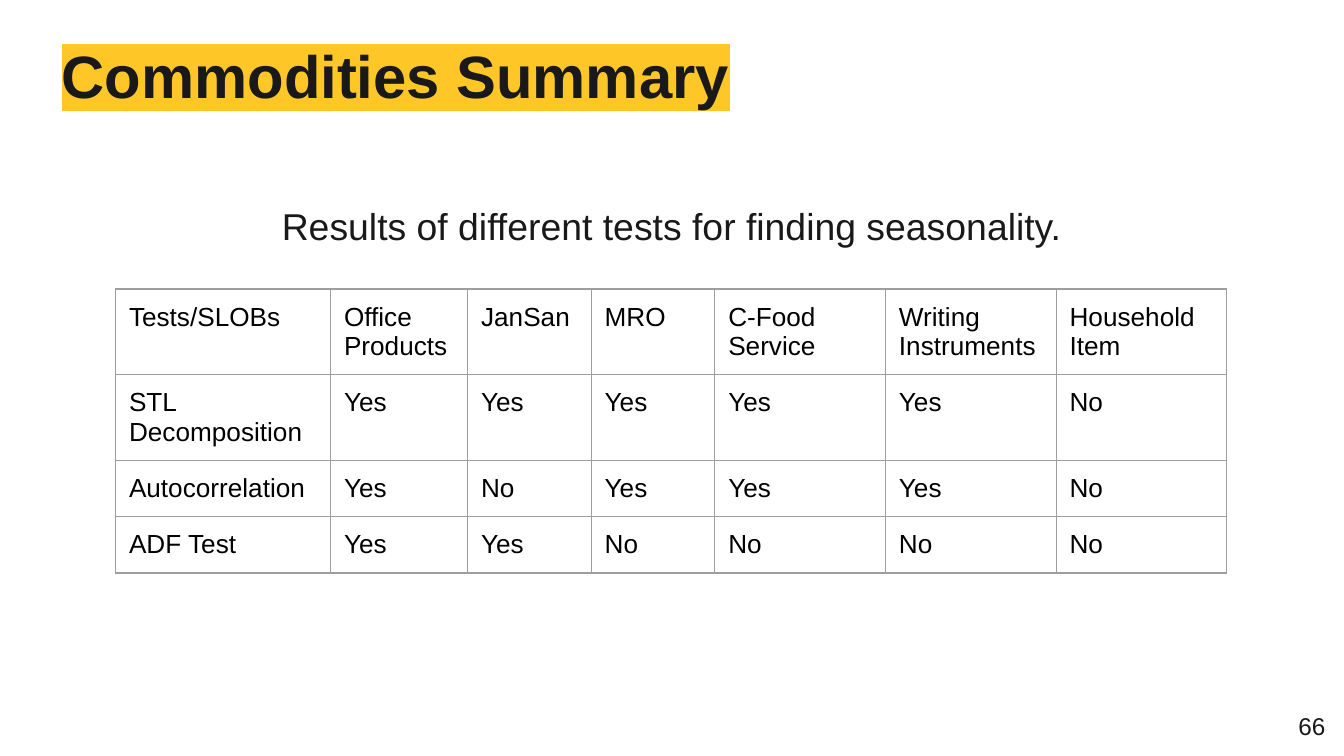
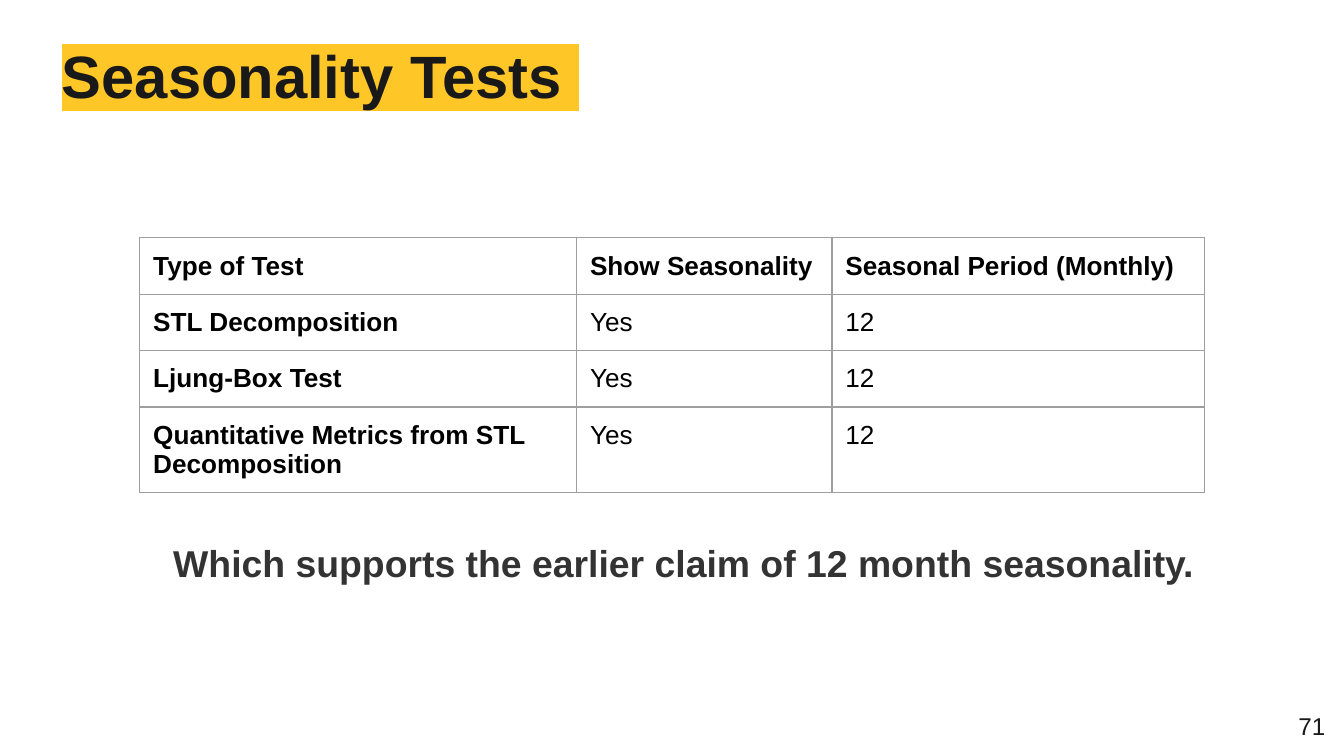
from lxml.etree import SubElement
from pptx import Presentation
from pptx.dml.color import RGBColor
from pptx.enum.text import MSO_ANCHOR, MSO_AUTO_SIZE, PP_ALIGN
from pptx.oxml.ns import qn
from pptx.util import Inches, Pt

INK = RGBColor(0x19, 0x19, 0x19)
GREY = RGBColor(0x33, 0x33, 0x33)
BLACK = RGBColor(0, 0, 0)
WHITE = RGBColor(0xFF, 0xFF, 0xFF)
GOLD = RGBColor(0xFF, 0xC6, 0x27)
RULE = RGBColor(0x9E, 0x9E, 0x9E)
FONT = "Arial"
WIDE = 10
HIGH = WIDE * 9 / 16
PAD = 0.1
ROW = 0.42

SLIDES = [
    dict(
        title="Commodities Summary",
        page="66",
        spot=(0.86, 2.15),
        cols=[1.6, 1.02, 0.92, 0.92, 1.27, 1.27, 1.27],
        rows=[
            ("Tests/SLOBs", "Office Products", "JanSan", "MRO",
             "C-Food Service", "Writing Instruments", "Household Item"),
            ("STL Decomposition", "Yes", "Yes", "Yes", "Yes", "Yes", "No"),
            ("Autocorrelation", "Yes", "No", "Yes", "Yes", "Yes", "No"),
            ("ADF Test", "Yes", "Yes", "No", "No", "No", "No"),
        ],
        heads=False,
        note="Results of different tests for finding seasonality.",
        box=(1.95, 1.41, 6.1, 0.43),
        style=dict(size=20, color=INK),
        align=PP_ALIGN.CENTER,
    ),
    dict(
        title="Seasonality Tests ",
        page="71",
        spot=(1.04, 1.77),
        cols=[3.25, 1.9, 2.77],
        rows=[
            ("Type of Test", "Show Seasonality", "Seasonal Period (Monthly)"),
            ("STL Decomposition", "Yes", "12"),
            ("Ljung-Box Test", "Yes", "12"),
            ("Quantitative Metrics from STL Decomposition", "Yes", "12"),
        ],
        heads=True,
        note="Which supports the earlier claim of 12 month seasonality.",
        box=(1.19, 3.92, 7.92, 0.33),
        style=dict(size=20, color=GREY, bold=True),
        align=PP_ALIGN.LEFT,
    ),
]


def tint(node, color):
    SubElement(node, qn("a:srgbClr")).set("val", str(color))


def inset(part, pad):
    part.margin_left = part.margin_right = Inches(pad)
    part.margin_top = part.margin_bottom = Inches(pad)


def write(frame, text, size, color, bold=False, align=PP_ALIGN.LEFT):
    line = frame.paragraphs[0]
    line.alignment = align
    run = line.add_run()
    run.text = text
    font = run.font
    font.name, font.size, font.bold = FONT, Pt(size), bold
    font.color.rgb = color
    return run


def add_title(slide, text):
    title = slide.shapes.title
    title.left, title.top = Inches(0.46), Inches(0.35)
    title.width, title.height = Inches(9.2), Inches(0.48)
    frame = title.text_frame
    inset(frame, 0)
    frame.auto_size = MSO_AUTO_SIZE.NONE
    frame.vertical_anchor = MSO_ANCHOR.BOTTOM
    run = write(frame, text, 32, INK, True)
    frame.paragraphs[0].line_spacing = 0.9
    # The schema wants the highlight right after the text fill
    props = run.font._element
    mark = SubElement(props, qn("a:highlight"))
    tint(mark, GOLD)
    props.find(qn("a:solidFill")).addnext(mark)


def add_text(slide, box, text, align, **style):
    frame = slide.shapes.add_textbox(*map(Inches, box)).text_frame
    frame.word_wrap = True
    inset(frame, PAD)
    write(frame, text, align=align, **style)


def outline(cell):
    """Draw the thin rule on all four sides of a cell."""
    props = cell._tc.get_or_add_tcPr()
    for spot, side in enumerate(("lnL", "lnR", "lnT", "lnB")):
        line = SubElement(props, qn(f"a:{side}"), w=str(Pt(0.75)))
        tint(SubElement(line, qn("a:solidFill")), RULE)
        props.insert(spot, line)


def add_grid(slide, spot, cols, rows, heads):
    """Add the table; heads makes the first row and column bold."""
    size = (sum(cols), ROW * len(rows))
    table = slide.shapes.add_table(
        len(rows), len(cols), *map(Inches, spot + size)).table
    table.first_row = table.horz_banding = False
    for col, width in zip(table.columns, cols):
        col.width = Inches(width)
    for r, row in enumerate(rows):
        table.rows[r].height = Inches(ROW)
        for c, text in enumerate(row):
            cell = table.cell(r, c)
            inset(cell, PAD)
            cell.fill.background()
            outline(cell)
            write(cell.text_frame, text, 14, BLACK, heads and 0 in (r, c))


def main():
    deck = Presentation()
    deck.slide_width, deck.slide_height = Inches(WIDE), Inches(HIGH)
    fill = deck.slide_master.background.fill
    fill.solid()
    fill.fore_color.rgb = WHITE
    for item in SLIDES:
        slide = deck.slides.add_slide(deck.slide_layouts.get_by_name("Title Only"))
        add_title(slide, item["title"])
        add_grid(slide, item["spot"], item["cols"], item["rows"], item["heads"])
        add_text(slide, item["box"], item["note"], item["align"], **item["style"])
        add_text(slide, (9.36, 5.19, 0.6, 0.43), item["page"], PP_ALIGN.RIGHT,
                 size=13, color=INK)
    deck.save("out.pptx")


if __name__ == "__main__":
    main()
